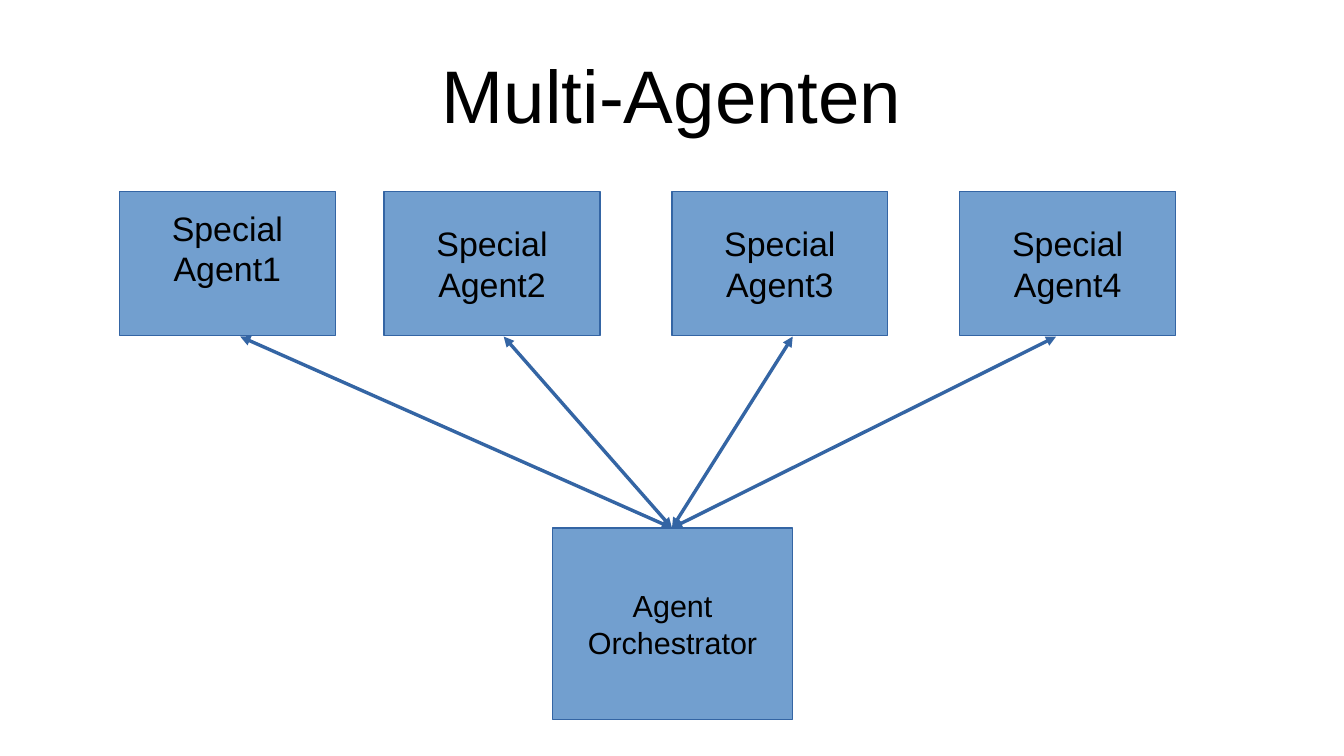
import pptx
import pptx.util
import pptx.dml.color
import pptx.enum.shapes
import pptx.enum.text
import pptx.oxml.ns
import lxml.etree

Inches = pptx.util.Inches

COLORS = {"fill": "729FCF", "line": "3465A4", "text": "000000"}
FONT = "Arial"
TITLE = "Multi-Agenten"
# lines of text, left edge, x of the arrow tip, bottom inset
AGENTS = [
    (["Special", "Agent1"], 0.98, 1.97, 0.3),
    (["Special Agent2"], 3.15, 4.13, 0.05),
    (["Special Agent3"], 5.51, 6.5, 0.05),
    (["Special Agent4"], 7.87, 8.66, 0.05),
]
AGENT_TOP, AGENT_WIDTH, AGENT_HEIGHT = 1.57, 1.77, 1.18
ARROW_TOP = 2.76
ORCHESTRATOR = (["Agent Orchestrator"], 4.53, 4.33, 1.97, 1.57)
HUB = (5.51, 4.33)


def color(name):
    return pptx.dml.color.RGBColor.from_string(COLORS[name])


def write(box, lines, size, insets):
    """Centre the lines in the box; insets are left, top, right, bottom."""
    frame = box.text_frame
    frame.word_wrap = True
    frame.vertical_anchor = pptx.enum.text.MSO_ANCHOR.MIDDLE
    (frame.margin_left, frame.margin_top,
     frame.margin_right, frame.margin_bottom) = map(Inches, insets)
    for index, line in enumerate(lines):
        para = frame.add_paragraph() if index else frame.paragraphs[0]
        para.alignment = pptx.enum.text.PP_ALIGN.CENTER
        run = para.add_run()
        run.text = line
        run.font.name = FONT
        run.font.size = pptx.util.Pt(size)
        run.font.color.rgb = color("text")


def style_line(line):
    line.color.rgb = color("line")
    line.width = pptx.util.Pt(0)


def add_agent(slide, lines, left, top, width, height, size, bottom_inset=0.05):
    box = slide.shapes.add_shape(
        pptx.enum.shapes.MSO_SHAPE.RECTANGLE,
        Inches(left), Inches(top), Inches(width), Inches(height))
    box.shadow.inherit = False
    box.fill.solid()
    box.fill.fore_color.rgb = color("fill")
    style_line(box.line)
    write(box, lines, size, (0.1, 0.05, 0.1, bottom_inset))


def add_double_arrow(slide, start, end):
    arrow = slide.shapes.add_connector(
        pptx.enum.shapes.MSO_CONNECTOR.STRAIGHT, *map(Inches, start + end))
    style_line(arrow.line)
    qn = pptx.oxml.ns.qn
    outline = arrow.line._get_or_add_ln()
    for tag in ("a:headEnd", "a:tailEnd"):
        lxml.etree.SubElement(outline, qn(tag), type="triangle")
    lxml.etree.SubElement(arrow._element.spPr, qn("a:effectLst"))


def main():
    deck = pptx.Presentation()
    deck.slide_width, deck.slide_height = Inches(11.02), Inches(6.2)
    slide = deck.slides.add_slide(deck.slide_layouts[6])

    title = slide.shapes.add_textbox(
        Inches(0.55), Inches(0.25), Inches(9.92), Inches(1.04))
    write(title, [TITLE], 44, (0, 0, 0, 0))

    add_agent(slide, *ORCHESTRATOR, size=18)
    for lines, left, tip, bottom_inset in AGENTS:
        add_agent(slide, lines, left, AGENT_TOP, AGENT_WIDTH, AGENT_HEIGHT,
                  20, bottom_inset)
        add_double_arrow(slide, HUB, (tip, ARROW_TOP))

    deck.save("out.pptx")


if __name__ == "__main__":
    main()
